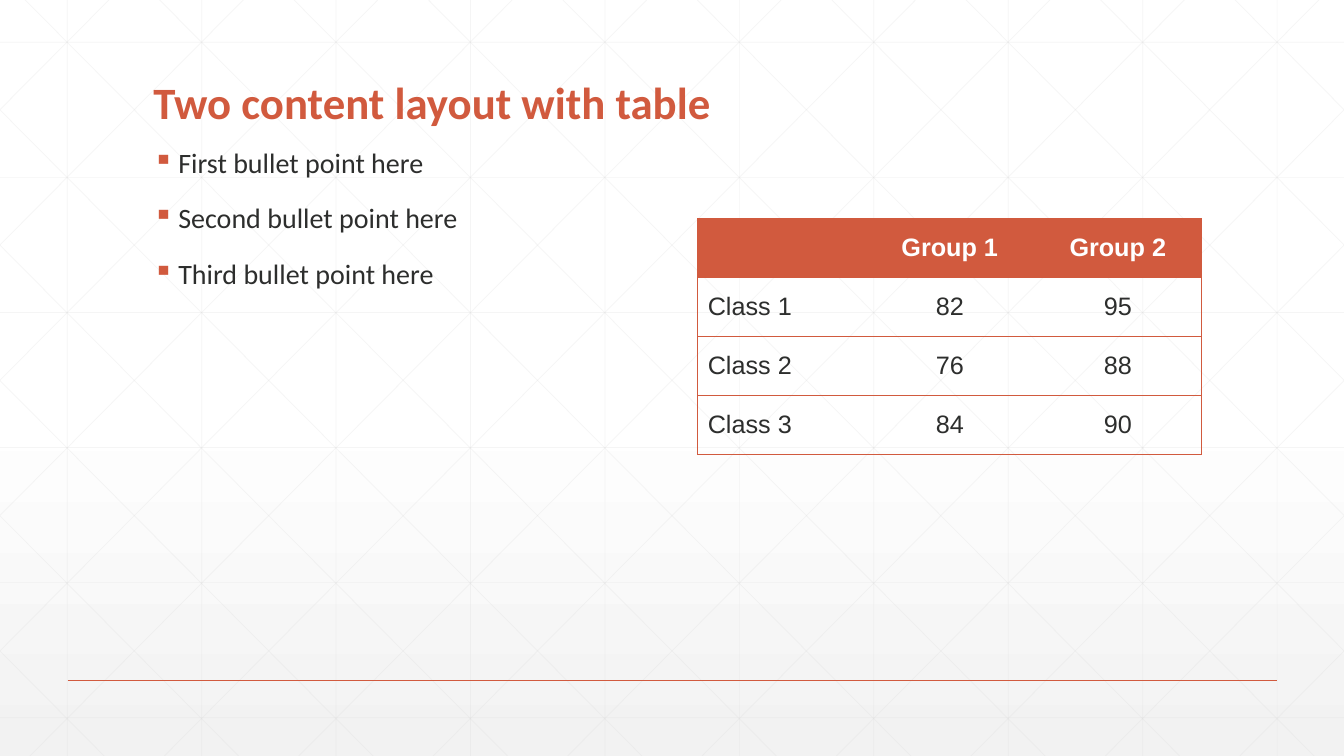
from dataclasses import dataclass

from lxml.etree import SubElement
from pptx import Presentation
from pptx.dml.color import RGBColor
from pptx.enum.shapes import MSO_CONNECTOR
from pptx.enum.text import MSO_ANCHOR, MSO_AUTO_SIZE, PP_ALIGN
from pptx.oxml import parse_xml
from pptx.oxml.ns import nsdecls, qn
from pptx.slide import Slide
from pptx.table import _Cell
from pptx.util import Inches, Pt

COLORS = {"accent": "D15A3E", "ink": "2D2E2D", "grid": "D9D9D9",
          "white": "FFFFFF", "shade": "F2F2F2"}
WIDTH, HEIGHT = 13.33, 7.5
GRID_STEP = 4 / 3
DIAGONAL_START, DIAGONAL_RUN = 0.25, 7.45

BULLETS = ["First bullet point here", "Second bullet point here",
           "Third bullet point here"]
SCORES = [["", "Group 1", "Group 2"],
          ["Class 1", "82", "95"],
          ["Class 2", "76", "88"],
          ["Class 3", "84", "90"]]


@dataclass
class Rule:
    x1: float
    y1: float
    x2: float
    y2: float
    color: str = "grid"
    weight: float = 0.5
    opacity: int = 25


def rgb(name: str) -> RGBColor:
    return RGBColor.from_string(COLORS[name])


def draw_rule(slide: Slide, rule: Rule) -> None:
    line = slide.shapes.add_connector(
        MSO_CONNECTOR.STRAIGHT, Inches(rule.x1), Inches(rule.y1),
        Inches(rule.x2), Inches(rule.y2))
    line.line.color.rgb = rgb(rule.color)
    line.line.width = Pt(rule.weight)
    properties = line._element.spPr
    SubElement(properties, qn("a:effectLst"))
    if rule.opacity < 100:
        color = properties.find(".//" + qn("a:srgbClr"))
        SubElement(color, qn("a:alpha")).set("val", str(rule.opacity * 1000))


def falling_diagonal(start: float) -> Rule:
    """Diagonal from the top edge down to the right, cut at the slide edges."""
    slope = HEIGHT / DIAGONAL_RUN
    left, right = max(start, 0), min(start + DIAGONAL_RUN, WIDTH)
    return Rule(left, (left - start) * slope, right, (right - start) * slope)


def background_rules() -> list[Rule]:
    columns = [2 / 3 + i * GRID_STEP for i in range(10)]
    rows = [0.42 + i * 1.34 for i in range(6)]
    falling = [falling_diagonal(DIAGONAL_START + i * GRID_STEP)
               for i in range(-5, 10)]
    rising = [Rule(WIDTH - d.x1, d.y1, WIDTH - d.x2, d.y2) for d in falling]
    return ([Rule(x, 0, x, HEIGHT) for x in columns]
            + [Rule(0, y, WIDTH, y) for y in rows] + falling + rising)


def draw_background(slide: Slide) -> None:
    fill = slide.background.fill
    fill.gradient()
    fill.gradient_angle = 270
    for stop, position, color in zip(fill.gradient_stops, (0.53, 1),
                                     ("white", "shade")):
        stop.position = position
        stop.color.rgb = rgb(color)
    for rule in background_rules():
        draw_rule(slide, rule)
    draw_rule(slide, Rule(0.67, 6.75, 12.67, 6.75, "accent", 1, 100))


def draw_title(slide: Slide) -> None:
    title = slide.shapes.title
    title.left, title.top = Inches(1.42), Inches(0.55)
    title.width, title.height = Inches(10.5), Inches(0.78)
    frame = title.text_frame
    frame.text = "Two content layout with table"
    frame.auto_size = MSO_AUTO_SIZE.NONE
    frame.vertical_anchor = MSO_ANCHOR.BOTTOM
    paragraph = frame.paragraphs[0]
    paragraph.alignment = PP_ALIGN.LEFT
    paragraph.line_spacing = 0.9
    font = paragraph.font
    font.name, font.size, font.bold = "Calibri", Pt(32), True
    font.color.rgb = rgb("accent")
    # Keep the title in front of the grid
    slide.shapes._spTree.append(title._element)


def draw_bullets(slide: Slide) -> None:
    points = slide.shapes.add_textbox(Inches(1.42), Inches(1.43),
                                      Inches(5), Inches(4.9))
    frame = points.text_frame
    frame.word_wrap = True
    frame.text = "\n".join(BULLETS)
    for paragraph in frame.paragraphs:
        paragraph.line_spacing = 0.9
        paragraph.space_before = Pt(18)
        font = paragraph.font
        font.name, font.size = "Calibri", Pt(20)
        font.color.rgb = rgb("ink")
        # Square accent bullet with a hanging indent
        properties = paragraph._p.get_or_add_pPr()
        properties.set("marL", str(Inches(0.25)))
        properties.set("indent", str(Inches(-0.25)))
        bullet_color = parse_xml(
            f'<a:buClr {nsdecls("a")}><a:srgbClr val="{COLORS["accent"]}"/></a:buClr>')
        bullet = parse_xml(f'<a:buChar {nsdecls("a")} char="▪"/>')
        text_defaults = properties.find(qn("a:defRPr"))
        text_defaults.addprevious(bullet_color)
        text_defaults.addprevious(bullet)


def set_borders(cell: _Cell, visible: str) -> None:
    properties = cell._tc.get_or_add_tcPr()
    for index, side in enumerate("LRTB"):
        paint = (f'<a:solidFill><a:srgbClr val="{COLORS["accent"]}"/></a:solidFill>'
                 if side in visible else "<a:noFill/>")
        properties.insert(index, parse_xml(
            f'<a:ln{side} {nsdecls("a")} w="{Pt(0.5)}">{paint}</a:ln{side}>'))


def draw_scores(slide: Slide) -> None:
    row_count, column_count = len(SCORES), len(SCORES[0])
    table = slide.shapes.add_table(row_count, column_count, Inches(6.92),
                                   Inches(2.17), Inches(5), Inches(2.34)).table
    table.horz_banding = False
    for r, row in enumerate(SCORES):
        for c, value in enumerate(row):
            cell = table.cell(r, c)
            cell.text = value
            cell.vertical_anchor = MSO_ANCHOR.MIDDLE
            if r == 0:
                cell.fill.solid()
                cell.fill.fore_color.rgb = rgb("accent")
            else:
                cell.fill.background()
            paragraph = cell.text_frame.paragraphs[0]
            paragraph.alignment = PP_ALIGN.CENTER if c else PP_ALIGN.LEFT
            font = paragraph.font
            font.name, font.size, font.bold = "Arial", Pt(18), r == 0
            font.color.rgb = rgb("ink" if r else "white")
            outer = {0: "L", column_count - 1: "R"}.get(c, "")
            set_borders(cell, "TB" + outer)


def main() -> None:
    presentation = Presentation()
    presentation.slide_width = Inches(WIDTH)
    presentation.slide_height = Inches(HEIGHT)
    slide = presentation.slides.add_slide(presentation.slide_layouts[5])
    draw_background(slide)
    draw_title(slide)
    draw_bullets(slide)
    draw_scores(slide)
    presentation.save("out.pptx")


if __name__ == "__main__":
    main()
